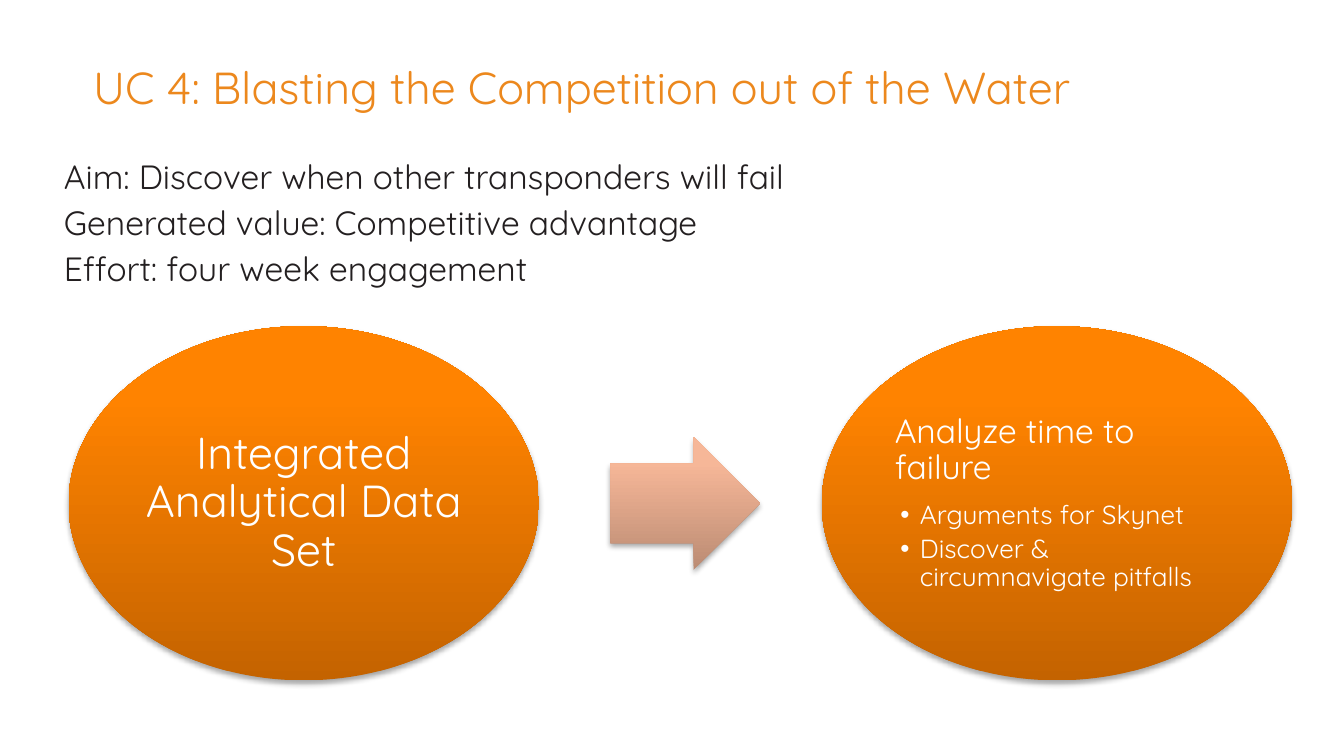
from lxml.etree import SubElement
from pptx import Presentation
from pptx.dml.color import RGBColor
from pptx.enum.shapes import MSO_SHAPE
from pptx.enum.text import MSO_ANCHOR, MSO_AUTO_SIZE, PP_ALIGN
from pptx.oxml import parse_xml
from pptx.oxml.ns import nsdecls, qn
from pptx.util import Pt

PX = 9525  # EMU per px, 96 px to the inch
FONT = "Quicksand"
C = {"title": "EC881D", "body": "231F20", "white": "FFFFFF", "shadow": "000000"}
ORANGE = [(0, "C46300"), (80, "FF8300"), (100, "FF8400")]
PEACH = [(0, "BB8B73"), (80, "F6B798"), (100, "F9B797")]


def write(tf, lines, *, size, color, spacing=0.95, before=0, align=PP_ALIGN.LEFT,
          bullet=None, level=0, margin=0, indent=0, add=False):
    """Write lines as paragraphs, after the existing ones if add is set."""
    for i, line in enumerate(lines):
        first = i == 0 and not add
        p = tf.paragraphs[0] if first else tf.add_paragraph()
        p.level, p.alignment, p.line_spacing = level, align, spacing
        p.space_before = Pt(0 if first else before)
        pPr = p._p.get_or_add_pPr()
        pPr.set("marL", str(margin * PX))
        pPr.set("indent", str(indent * PX))
        if bullet:
            SubElement(pPr, qn("a:buFont")).set("typeface", "Arial")
            SubElement(pPr, qn("a:buChar")).set("char", bullet)
        else:
            SubElement(pPr, qn("a:buNone"))
        r = p.add_run()
        r.text = line
        r.font.size, r.font.name = Pt(size), FONT
        r.font.color.rgb = RGBColor.from_string(color)


def add_shaded(s, kind, x, y, w, h, stops):
    """Add a shape with a vertical gradient and a soft shadow below."""
    sp = s.shapes.add_shape(kind, x * PX, y * PX, w * PX, h * PX)
    sp.line.fill.background()
    sp.shadow.inherit = False
    gs = "".join(f'<a:gs pos="{pos * 1000}"><a:srgbClr val="{color}"/></a:gs>'
                 for pos, color in stops)
    spPr = sp._element.spPr
    spPr.find(qn("a:prstGeom")).addnext(parse_xml(
        f'<a:gradFill {nsdecls("a")} rotWithShape="1"><a:gsLst>{gs}</a:gsLst>'
        '<a:lin ang="16200000" scaled="0"/></a:gradFill>'))
    spPr.find(qn("a:effectLst")).append(parse_xml(
        f'<a:outerShdw {nsdecls("a")} blurRad="{Pt(3.1)}" dist="{Pt(1.8)}" dir="5400000" '
        f'rotWithShape="0"><a:srgbClr val="{C["shadow"]}"><a:alpha val="35000"/>'
        '</a:srgbClr></a:outerShdw>'))
    tf = sp.text_frame
    tf.word_wrap, tf.vertical_anchor = True, MSO_ANCHOR.MIDDLE
    tf.margin_left = tf.margin_right = tf.margin_top = tf.margin_bottom = 3 * PX
    return sp


prs = Presentation()
prs.slide_width, prs.slide_height = 960 * PX, 540 * PX
s = prs.slides.add_slide(prs.slide_layouts[1])

# Title and summary
title, body = s.placeholders
for sp, x, y, w, h in [(title, 57, 41, 760, 36), (body, 36, 109, 637, 78)]:
    sp.left, sp.top, sp.width, sp.height = x * PX, y * PX, w * PX, h * PX
    tf = sp.text_frame
    tf.word_wrap, tf.auto_size = True, MSO_AUTO_SIZE.NONE
    tf.vertical_anchor = MSO_ANCHOR.TOP
write(title.text_frame, ["UC 4: Blasting the Competition out of the Water"],
      size=24, color=C["title"])
write(body.text_frame, [
    "Aim: Discover when other transponders will fail",
    "Generated value: Competitive advantage",
    "Effort: four week engagement",
], size=18, color=C["body"], before=4)

# Process: data set, arrow, analysis
data, analysis = [add_shaded(s, MSO_SHAPE.OVAL, x, 233, 336, 253, ORANGE)
                  for x in (49, 587)]
arrow = add_shaded(s, MSO_SHAPE.RIGHT_ARROW, 436, 312, 107, 95, PEACH)
arrow.adjustments[0], arrow.adjustments[1] = 0.6, 0.5

write(data.text_frame, ["Integrated Analytical Data Set"], size=24,
      color=C["white"], spacing=0.9, align=PP_ALIGN.CENTER)
tf = analysis.text_frame
write(tf, ["Analyze time to failure"], size=18, color=C["white"], spacing=0.9)
for line, before in [("Arguments for Skynet", 8.4),
                     ("Discover & circumnavigate pitfalls", 2.9)]:
    write(tf, [line], size=14, color=C["white"], spacing=0.9, before=before,
          bullet="•", level=1, margin=18, indent=-14, add=True)

prs.save("out.pptx")
